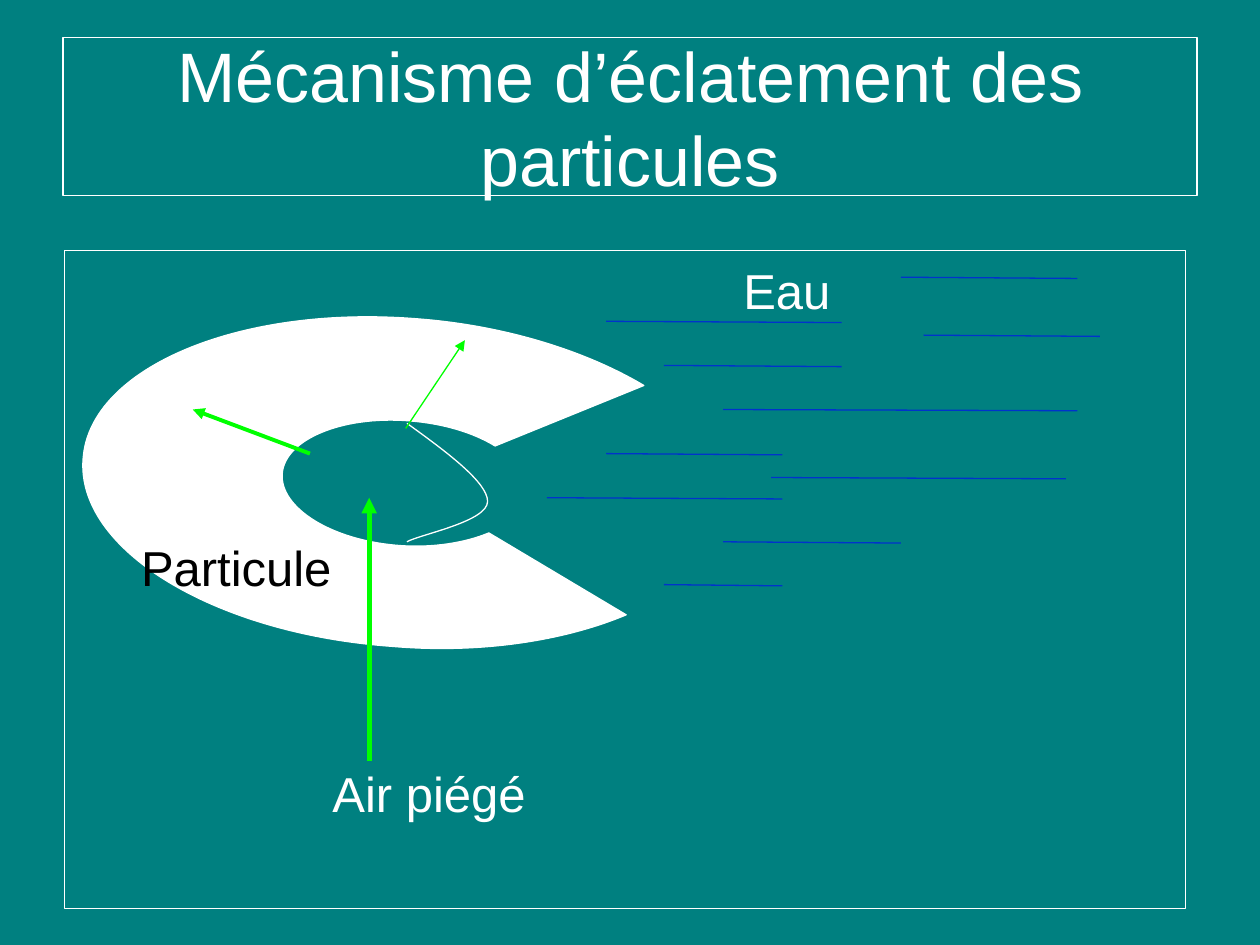
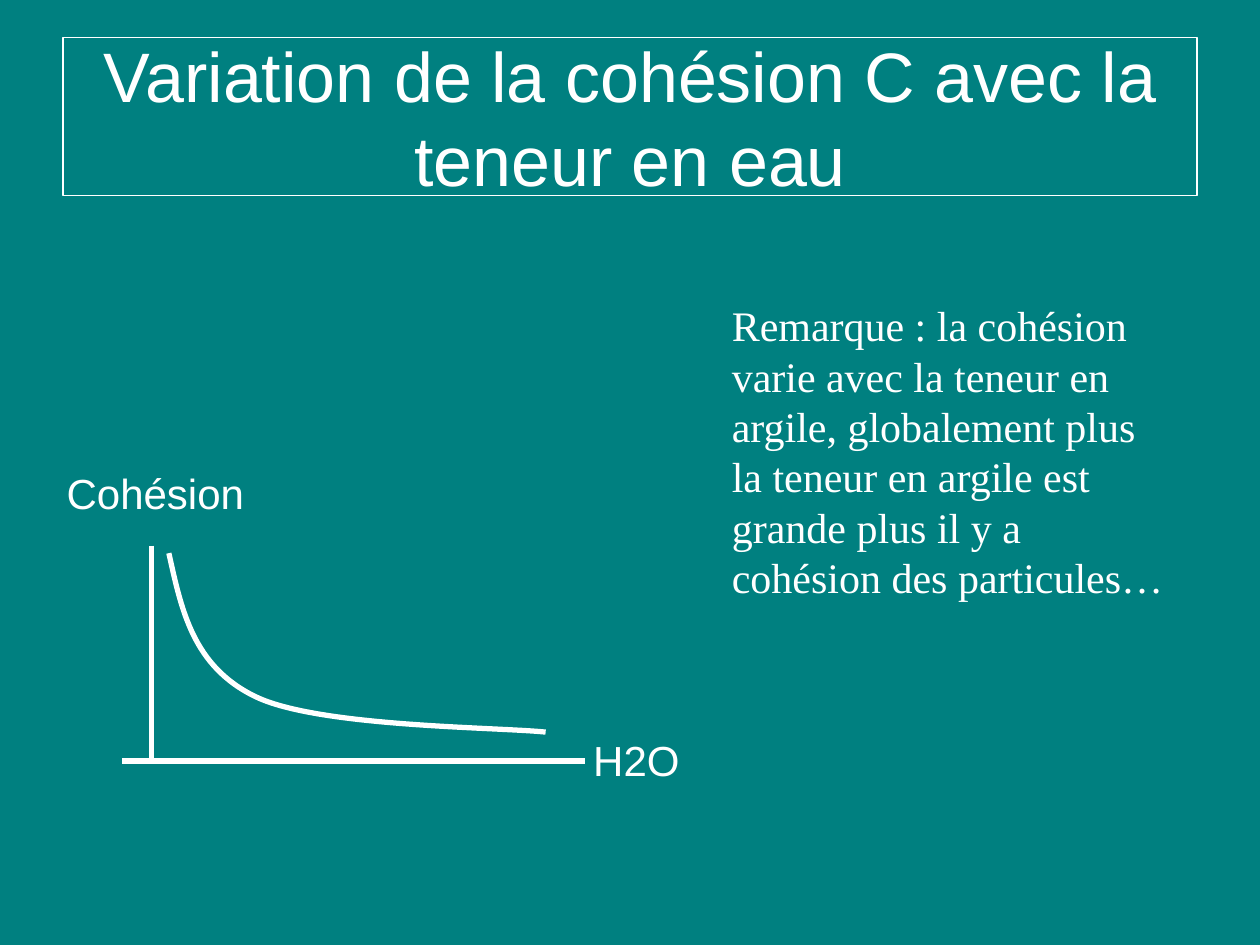
from pptx import Presentation
from pptx import util as u
from pptx.dml.color import RGBColor
from pptx.enum import shapes, text
from pptx.oxml.xmlchemy import OxmlElement

TEAL = RGBColor(0x00, 0x80, 0x80)
WHITE = RGBColor(0xFF, 0xFF, 0xFF)
BLACK = RGBColor(0x00, 0x00, 0x00)
BLUE = RGBColor(0x00, 0x33, 0xCC)
GREEN = RGBColor(0x00, 0xFF, 0x00)
SANS, SERIF = "Arial", "Times New Roman"
THIN, THICK = 0.75, 3
WATER_DROP = 0.01

PARTICLE_OUTLINE = [
    (3.88, 4.23),
    (3.69, 4.31, 3.43, 4.35, 3.17, 4.33),
    (2.63, 4.29, 2.22, 4.03, 2.24, 3.76),
    (2.26, 3.49, 2.71, 3.30, 3.24, 3.34),
    (3.51, 3.36, 3.75, 3.43, 3.93, 3.54),
    (5.11, 3.06),
    (4.64, 2.78, 3.99, 2.58, 3.30, 2.53),
    (1.90, 2.42, 0.71, 2.92, 0.66, 3.64),
    (0.60, 4.36, 1.70, 5.03, 3.11, 5.13),
    (3.80, 5.19, 4.47, 5.09, 4.97, 4.88),
]
AIR_BOUNDARY = [
    (3.23, 3.36),
    (3.55, 3.59, 3.87, 3.83, 3.87, 3.98),
    (3.87, 4.14, 3.34, 4.24, 3.23, 4.30),
]
COHESION_CURVE = [
    (1.34, 4.39),
    (1.44, 4.84, 1.53, 5.29, 2.03, 5.53),
    (2.53, 5.77, 3.94, 5.77, 4.33, 5.81),
]
WATER_LINES = [
    (4.81, 6.68, 2.55), (4.81, 6.21, 3.60), (5.74, 8.55, 3.25),
    (4.34, 6.21, 3.95), (5.27, 6.68, 2.90), (7.15, 8.55, 2.20),
    (7.33, 8.73, 2.66), (5.74, 7.15, 4.30), (5.27, 6.21, 4.64),
    (6.12, 8.46, 3.79),
]


def set_line(shape, color, width):
    """Give a shape or connector a solid line."""
    shape.line.color.rgb = color
    shape.line.width = u.Pt(width)


def write(shape, words, size, color, font=SANS, align=text.PP_ALIGN.CENTER):
    """Put one wrapped paragraph into a shape."""
    shape.text_frame.word_wrap = True
    paragraph = shape.text_frame.paragraphs[0]
    paragraph.text = words
    paragraph.alignment = align
    paragraph.font.size = u.Pt(size)
    paragraph.font.name = font
    paragraph.font.color.rgb = color


def add_label(slide, box, words, size, color=WHITE, **style):
    """Add a text box at (left, top, width, height)."""
    label = slide.shapes.add_textbox(*map(u.Inches, box))
    write(label, words, size, color, **style)


def add_frame(slide, box):
    """Add an unfilled rectangle with a thin white border."""
    frame = slide.shapes.add_shape(shapes.MSO_SHAPE.RECTANGLE, *map(u.Inches, box))
    frame.shadow.inherit = False
    frame.fill.background()
    set_line(frame, WHITE, THIN)
    return frame


def add_line(slide, start, end, color, width, arrow=False):
    """Add a straight line, with an arrowhead at its end if asked."""
    line = slide.shapes.add_connector(
        shapes.MSO_CONNECTOR.STRAIGHT, *map(u.Inches, start + end))
    set_line(line, color, width)
    properties = line._element.spPr
    if arrow:
        head = OxmlElement("a:tailEnd")
        head.set("type", "triangle")
        properties.get_or_add_ln().append(head)
    properties.append(OxmlElement("a:effectLst"))


def bend(outline, segments):
    """Turn the straight steps that have control points into cubic curves."""
    steps = outline._element.xpath(".//a:lnTo")
    for step, segment in zip(steps, segments):
        if len(segment) == 2:
            continue
        curve = OxmlElement("a:cubicBezTo")
        for x, y in zip(segment[::2], segment[1::2]):
            point = OxmlElement("a:pt")
            point.set("x", str(u.Inches(x) - outline.left))
            point.set("y", str(u.Inches(y) - outline.top))
            curve.append(point)
        step.getparent().replace(step, curve)


def add_outline(slide, segments, width, fill=None):
    """Add a white freeform, closed only when it is filled."""
    points = [(u.Inches(x), u.Inches(y)) for *_, x, y in segments]
    builder = slide.shapes.build_freeform(*points[0])
    builder.add_line_segments(points[1:], close=fill is not None)
    outline = builder.convert_to_shape()
    bend(outline, segments[1:])
    outline.shadow.inherit = False
    if fill is None:
        outline.fill.background()
    else:
        outline.fill.solid()
        outline.fill.fore_color.rgb = fill
    set_line(outline, WHITE, width)


def add_titled_slide(presentation, title):
    """Add a teal slide with a framed title."""
    slide = presentation.slides.add_slide(presentation.slide_layouts[6])
    slide.background.fill.solid()
    slide.background.fill.fore_color.rgb = TEAL
    frame = add_frame(slide, (0.5, 0.3, 9, 1.25))
    frame.text_frame.vertical_anchor = text.MSO_ANCHOR.MIDDLE
    write(frame, title, 40, WHITE)
    return slide


def add_bursting_slide(presentation):
    """Show trapped air bursting a particle in water."""
    slide = add_titled_slide(presentation, "Mécanisme d’éclatement des particules")
    add_frame(slide, (0.51, 1.99, 8.9, 5.22))
    add_outline(slide, PARTICLE_OUTLINE, THIN, fill=WHITE)
    add_outline(slide, AIR_BOUNDARY, THIN)
    for left, right, y in WATER_LINES:
        add_line(slide, (left, y), (right, y + WATER_DROP), BLUE, THIN)
    add_label(slide, (5.31, 2.02, 1.87, 1.04), "Eau", 28)
    add_line(slide, (2.93, 6.04), (2.93, 3.95), GREEN, THICK, arrow=True)
    add_label(slide, (1.53, 6.01, 3.75, 1.04), "Air piégé", 28)
    add_line(slide, (2.46, 3.6), (1.53, 3.25), GREEN, 2.25, arrow=True)
    add_line(slide, (3.22, 3.4), (3.69, 2.7), GREEN, THIN, arrow=True)
    add_label(slide, (0, 4.22, 3.75, 1.04), "Particule", 28, BLACK)


def add_cohesion_slide(presentation):
    """Plot cohesion against water content, with a remark."""
    slide = add_titled_slide(
        presentation, "Variation de la cohésion C avec la teneur en eau")
    add_line(slide, (1.2, 4.33), (1.2, 6.04), WHITE, THICK)
    add_line(slide, (0.97, 6.04), (4.64, 6.04), WHITE, THICK)
    add_outline(slide, COHESION_CURVE, THICK)
    left = text.PP_ALIGN.LEFT
    add_label(slide, (4.61, 5.78, 1.15, 0.86), "H2O", 24, align=left)
    add_label(slide, (0.43, 3.66, 1.65, 0.55), "Cohésion", 24, align=left)
    add_label(
        slide, (5.71, 2.33, 3.66, 2.5),
        "Remarque : la cohésion varie avec la teneur en argile, globalement plus "
        "la teneur en argile est grande plus il y a cohésion des particules…",
        24, font=SERIF, align=left)


def main():
    """Build and save the presentation."""
    presentation = Presentation()
    presentation.slide_width = u.Inches(10)
    presentation.slide_height = u.Inches(7.5)
    add_bursting_slide(presentation)
    add_cohesion_slide(presentation)
    presentation.save("out.pptx")


if __name__ == "__main__":
    main()
